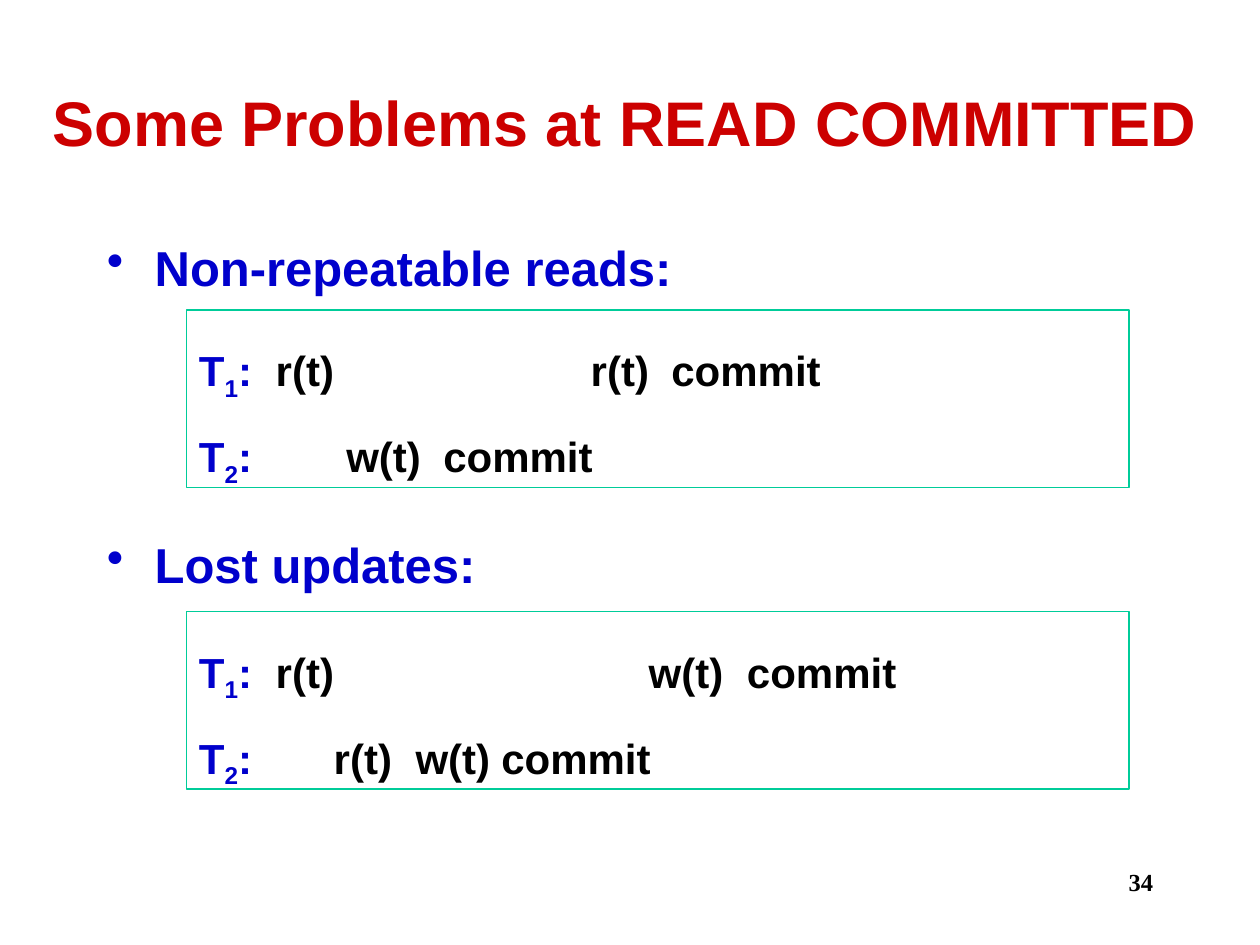
from lxml.etree import SubElement
from pptx import Presentation
from pptx.dml.color import RGBColor as Rgb
from pptx.enum.shapes import MSO_SHAPE as Preset
from pptx.enum.text import MSO_ANCHOR as Anchor, MSO_AUTO_SIZE as AutoSize, PP_ALIGN as Align
from pptx.oxml.ns import qn
from pptx.util import Emu, Inches, Pt

WIDTH, HEIGHT = Inches(10), Inches(7.5)
COLORS = {"title": "CC0000", "label": "0000CC", "step": "000000", "border": "00CC99"}
PROBLEMS = [
    ("Non-repeatable reads:", 0.328, [
        [("r(t)", 0.61), ("r(t)", 3.11), ("commit", 3.75)],
        [("w(t)", 1.17), ("commit", 1.94)],
    ]),
    ("Lost updates:", 0.647, [
        [("r(t)", 0.61), ("w(t)", 3.57), ("commit", 4.35)],
        [("r(t)", 1.07), ("w(t)", 1.72), ("commit", 2.4)],
    ]),
]


def share(left, top, width, height):
    return (Emu(int(WIDTH * left)), Emu(int(HEIGHT * top)),
            Emu(int(WIDTH * width)), Emu(int(HEIGHT * height)))


def apply(target, formats):
    for name, value in formats.items():
        setattr(target, name, value)


def add_run(paragraph, text, size, color, font="Arial"):
    run = paragraph.add_run()
    run.text = text
    apply(run.font, {"name": font, "size": Pt(size), "bold": True})
    run.font.color.rgb = Rgb.from_string(COLORS[color])
    return run


def add_title(slide, text):
    title = slide.shapes.title
    apply(title, dict(zip(("left", "top", "width", "height"),
                          share(0.025, 0.045, 0.942, 0.167))))
    apply(title.text_frame, {"word_wrap": True, "auto_size": AutoSize.NONE,
                             "vertical_anchor": Anchor.MIDDLE})
    heading = title.text_frame.paragraphs[0]
    heading.alignment = Align.CENTER
    add_run(heading, text, 36, "title")


def add_headings(slide, headings):
    body = slide.shapes.add_textbox(*share(0.075, 0.245, 0.85, 0.6)).text_frame
    body.word_wrap = True
    for index, text in enumerate(headings):
        heading = body.add_paragraph() if index else body.paragraphs[0]
        heading.space_before = Pt(136 if index else 3)
        add_run(heading, text, 28, "label")
        properties = heading._p.get_or_add_pPr()
        apply_indent = {"marL": Inches(0.38), "indent": -Inches(0.38)}
        for name, value in apply_indent.items():
            properties.set(name, str(int(value)))
        SubElement(properties, qn("a:buChar"), char="•")


def add_schedule(slide, top, transactions):
    schedule = slide.shapes.add_shape(Preset.RECTANGLE, *share(0.148, top, 0.748, 0.188))
    schedule.shadow.inherit = False
    schedule.fill.background()
    schedule.line.color.rgb = Rgb.from_string(COLORS["border"])
    schedule.line.width = Pt(0.75)
    frame = schedule.text_frame
    apply(frame, {"word_wrap": True, "auto_size": AutoSize.SHAPE_TO_FIT_TEXT,
                  "vertical_anchor": Anchor.TOP, "margin_left": Inches(0.1),
                  "margin_right": Inches(0.1), "margin_top": Inches(0.05),
                  "margin_bottom": Inches(0.16)})
    for number, steps in enumerate(transactions, 1):
        row = frame.paragraphs[0] if number == 1 else frame.add_paragraph()
        apply(row, {"alignment": Align.LEFT, "line_spacing": 1.5})
        add_run(row, "T", 24, "label")
        subscript = add_run(row, str(number), 24, "label")
        subscript.font._element.set("baseline", "-25000")
        add_run(row, ":", 24, "label")
        add_run(row, "".join("\t" + step for step, _ in steps), 24, "step")
        stops = SubElement(row._p.get_or_add_pPr(), qn("a:tabLst"))
        for _, position in steps:
            SubElement(stops, qn("a:tab"), pos=str(int(Inches(position))), algn="l")


def add_page_number(slide, number):
    frame = slide.shapes.add_textbox(*share(0.717, 0.911, 0.208, 0.067)).text_frame
    frame.word_wrap = True
    frame.paragraphs[0].alignment = Align.RIGHT
    add_run(frame.paragraphs[0], number, 14, "step", "Times New Roman")


def main():
    deck = Presentation()
    apply(deck, {"slide_width": WIDTH, "slide_height": HEIGHT})
    slide = deck.slides.add_slide(deck.slide_layouts[5])
    add_page_number(slide, "34")
    add_title(slide, "Some Problems at READ COMMITTED")
    add_headings(slide, [heading for heading, _, _ in PROBLEMS])
    for _, top, transactions in PROBLEMS:
        add_schedule(slide, top, transactions)
    deck.save("out.pptx")


if __name__ == "__main__":
    main()
